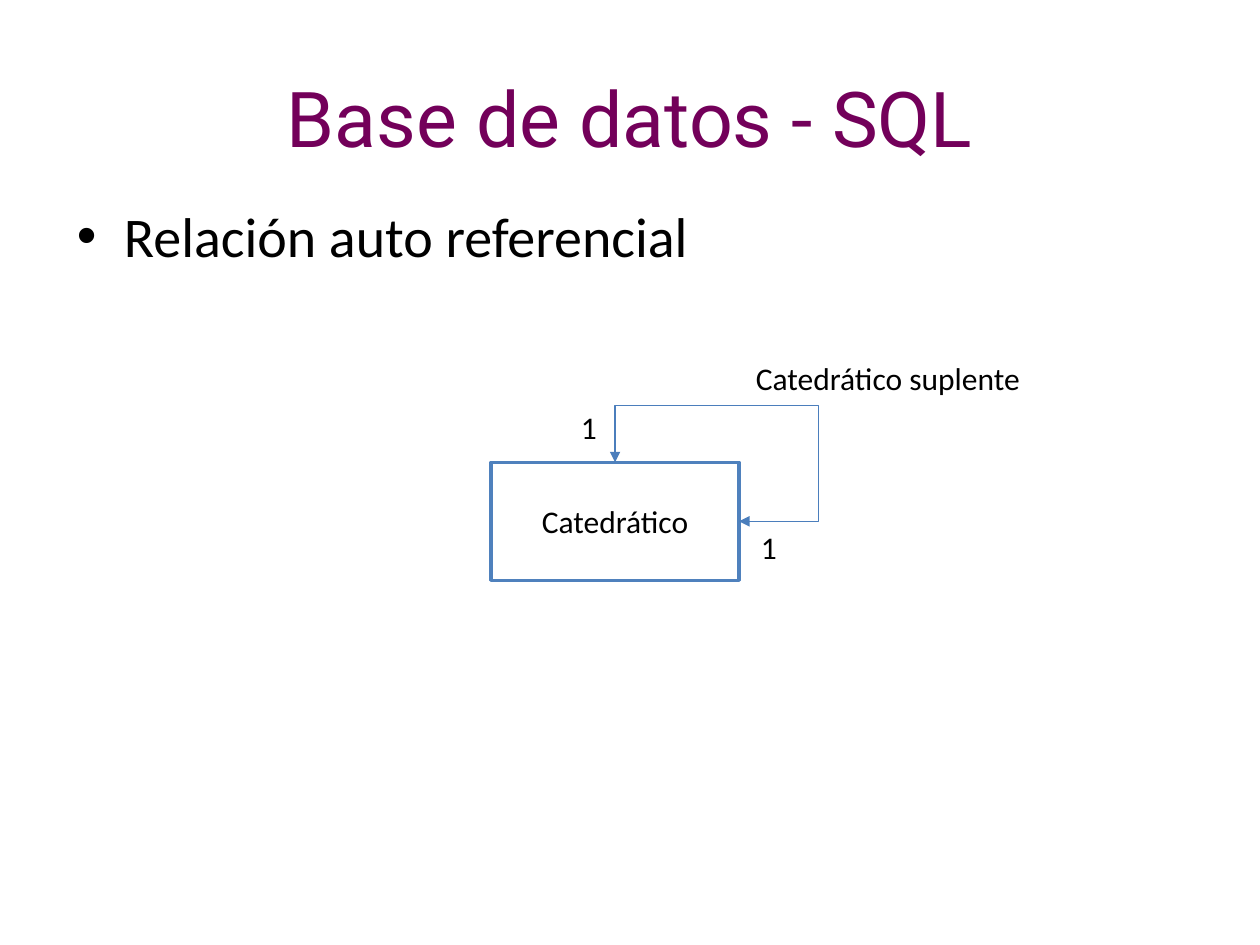
"""Build a slide showing a self-referencing database relation."""
import pptx
import pptx.dml.color
import pptx.enum.shapes
import pptx.enum.text
import pptx.oxml
import pptx.oxml.ns
import pptx.util
from pptx.util import Cm

THEME = {
    "title": {"name": "Roboto", "size": 44, "color": "73005A"},
    "body": {"name": "Calibri", "size": 32, "color": "000000"},
    "label": {"name": "Calibri", "size": 18, "color": "000000"},
    "box": {"fill": "FFFFFF", "line": "4F81BD", "width": 2},
    "arrow": {"line": "4B7EBC", "width": 0.75},
}
TITLE = ("Base de datos - SQL", (1.27, 0.76, 22.86, 3.18))
BULLET = ("Relación auto referencial", (1.3, 3.94, 22.86, 12.57))
ENTITY = ("Catedrático", (9.9, 9.32, 5.0, 2.38))
LABELS = [
    ("Catedrático suplente", (14.99, 7.11, 5.89, 1.02)),
    ("1", (15.09, 10.52, 0.84, 1.02)),
    ("1", (11.46, 8.1, 0.84, 1.02)),
]
LOOP = {"rise": 1.14, "reach": 1.6}
HANGING = 0.95


def rgb(value):
    return pptx.dml.color.RGBColor.from_string(value)


def write(sp, text, style, align=None, **frame):
    tf = sp.text_frame
    for name, value in frame.items():
        setattr(tf, name, value)
    p = tf.paragraphs[0]
    p.alignment = align
    r = p.add_run()
    r.text = text
    font = THEME[style]
    for name, value in {"name": font["name"], "size": pptx.util.Pt(font["size"])}.items():
        setattr(r.font, name, value)
    r.font.color.rgb = rgb(font["color"])
    return p


def outline(sp, style):
    sp.line.color.rgb = rgb(THEME[style]["line"])
    sp.line.width = pptx.util.Pt(THEME[style]["width"])


def add_child(parent, tag, **attributes):
    child = pptx.oxml.parse_xml(f"<{tag} {pptx.oxml.ns.nsdecls('a')}/>")
    for name, value in attributes.items():
        child.set(name, str(value))
    parent.append(child)
    return child


def add_bullet(p):
    props = p._p.get_or_add_pPr()
    props.set("marL", str(Cm(HANGING)))
    props.set("indent", str(-Cm(HANGING)))
    add_child(props, "a:buFont", typeface="Arial")
    add_child(props, "a:buChar", char="•")


def add_loop(shapes, sp, box):
    left, top, width, height = box
    run, drop = width / 2, height / 2
    cx = shapes.add_connector(pptx.enum.shapes.MSO_CONNECTOR.ELBOW, 0, 0, 0, 0)
    cx.begin_connect(sp, 0)
    cx.end_connect(sp, 3)
    outline(cx, "arrow")
    for end in ("a:headEnd", "a:tailEnd"):
        add_child(cx.line._get_or_add_ln(), end, type="triangle")
    props = cx._element.spPr
    add_child(props, "a:effectLst")
    geometry = props.find(pptx.oxml.ns.qn("a:prstGeom"))
    geometry.set("prst", "bentConnector4")
    guides = geometry.find(pptx.oxml.ns.qn("a:avLst"))
    for name, ratio in (("adj1", -LOOP["rise"] / drop), ("adj2", 1 + LOOP["reach"] / run)):
        add_child(guides, "a:gd", name=name, fmla=f"val {round(ratio * 100000)}")
    mid_x, mid_y = left + width * 0.75, top + height / 4
    place = {"left": mid_x - drop / 2, "top": mid_y - run / 2, "width": drop, "height": run}
    for name, value in place.items():
        setattr(cx, name, Cm(value))
    for name, value in {"rot": "16200000", "flipH": "1", "flipV": "0"}.items():
        props.xfrm.set(name, value)


def main():
    prs = pptx.Presentation()
    prs.slide_width, prs.slide_height = Cm(25.4), Cm(19.05)
    s = prs.slides.add_slide(prs.slide_layouts[5])
    center = pptx.enum.text.PP_ALIGN.CENTER
    middle = pptx.enum.text.MSO_ANCHOR.MIDDLE

    text, box = TITLE
    title = s.shapes.title
    for name, value in zip(("left", "top", "width", "height"), box):
        setattr(title, name, Cm(value))
    write(title, text, "title", center, vertical_anchor=middle)

    text, box = BULLET
    add_bullet(write(s.shapes.add_textbox(*map(Cm, box)), text, "body", word_wrap=True))

    text, box = ENTITY
    sp = s.shapes.add_shape(pptx.enum.shapes.MSO_SHAPE.RECTANGLE, *map(Cm, box))
    sp.shadow.inherit = False
    sp.fill.solid()
    sp.fill.fore_color.rgb = rgb(THEME["box"]["fill"])
    outline(sp, "box")
    write(sp, text, "label", center, vertical_anchor=middle)
    add_loop(s.shapes, sp, box)

    for text, box in LABELS:
        write(s.shapes.add_textbox(*map(Cm, box)), text, "label", word_wrap=False,
              auto_size=pptx.enum.text.MSO_AUTO_SIZE.SHAPE_TO_FIT_TEXT)
    prs.save("out.pptx")


if __name__ == "__main__":
    main()
